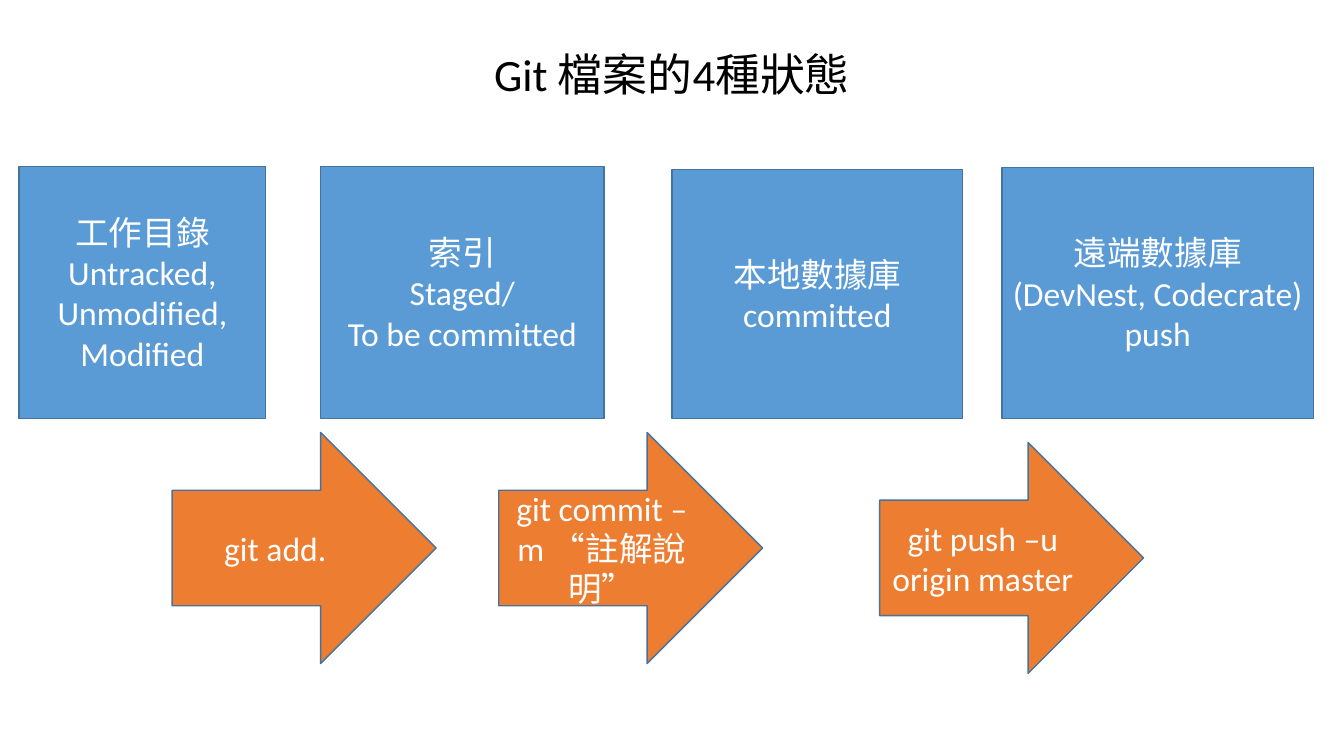
from dataclasses import dataclass
from typing import NamedTuple

from pptx import Presentation
from pptx.dml.color import RGBColor
from pptx.enum.shapes import MSO_SHAPE as Geo
from pptx.enum.text import MSO_ANCHOR as Anchor, MSO_AUTO_SIZE as AutoSize, PP_ALIGN as Align
from pptx.util import Cm, Pt


@dataclass(frozen=True)
class Theme:
    font: str = "Calibri"
    title_size: int = 32
    body_size: int = 24
    title: str = "000000"
    text: str = "FFFFFF"
    state: str = "5B9BD5"
    command: str = "ED7D31"
    outline: str = "43739E"


class State(NamedTuple):
    left: float
    width: float
    height: float
    lines: list[str]


class Command(NamedTuple):
    left: float
    top: float
    text: str


THEME = Theme()
STATE_BOTTOM = 10.54
ARROW_WIDTH, ARROW_HEIGHT = 6.65, 5.82

STATES = [
    State(0.48, 6.22, 6.35, ["工作目錄", "Untracked,", "Unmodified,", "Modified"]),
    State(8.08, 7.14, 6.35, ["索引", "Staged/", "To be committed"]),
    State(16.94, 7.32, 6.27, ["本地數據庫", "committed"]),
    State(25.25, 7.85, 6.32, ["遠端數據庫(DevNest, Codecrate)", "push"]),
]
COMMANDS = [
    Command(4.34, 10.9, "git add."),
    Command(12.57, 10.9, "git commit –m “註解說明”"),
    Command(22.17, 11.15, "git push –u origin master"),
]


def set_attrs(obj, values: dict) -> None:
    for name, value in values.items():
        setattr(obj, name, value)


def write(tf, lines: list[str], size: int, color: str) -> None:
    """Fill a text frame with centred paragraphs."""
    set_attrs(tf, {"word_wrap": True, "vertical_anchor": Anchor.MIDDLE,
                   "auto_size": AutoSize.NONE})
    for i, line in enumerate(lines):
        p = tf.add_paragraph() if i else tf.paragraphs[0]
        p.alignment = Align.CENTER
        r = p.add_run()
        r.text = line
        set_attrs(r.font, {"name": THEME.font, "size": Pt(size)})
        r.font.color.rgb = RGBColor.from_string(color)


def add_block(slide, geo: Geo, box: tuple[float, ...], fill: str, lines: list[str]) -> None:
    """Add an outlined shape; box is left, top, width, height in cm."""
    sp = slide.shapes.add_shape(geo, *map(Cm, box))
    sp.shadow.inherit = False
    sp.fill.solid()
    sp.fill.fore_color.rgb = RGBColor.from_string(fill)
    sp.line.width = Pt(1)
    sp.line.color.rgb = RGBColor.from_string(THEME.outline)
    write(sp.text_frame, lines, THEME.body_size, THEME.text)


prs = Presentation()
set_attrs(prs, {"slide_width": Cm(33.87), "slide_height": Cm(19.05)})
slide = prs.slides.add_slide(prs.slide_layouts.get_by_name("Title Only"))

# Title
title = slide.shapes.title
set_attrs(title, {"left": Cm(9.25), "top": Cm(1.04), "width": Cm(15.37), "height": Cm(1.63)})
write(title.text_frame, ["Git 檔案的4種狀態"], THEME.title_size, THEME.title)

# File states, standing on one common bottom edge
for s in STATES:
    box = (s.left, STATE_BOTTOM - s.height, s.width, s.height)
    add_block(slide, Geo.RECTANGLE, box, THEME.state, s.lines)

# Commands that move a file to the next state
for c in COMMANDS:
    box = (c.left, c.top, ARROW_WIDTH, ARROW_HEIGHT)
    add_block(slide, Geo.RIGHT_ARROW, box, THEME.command, [c.text])

prs.save("out.pptx")
